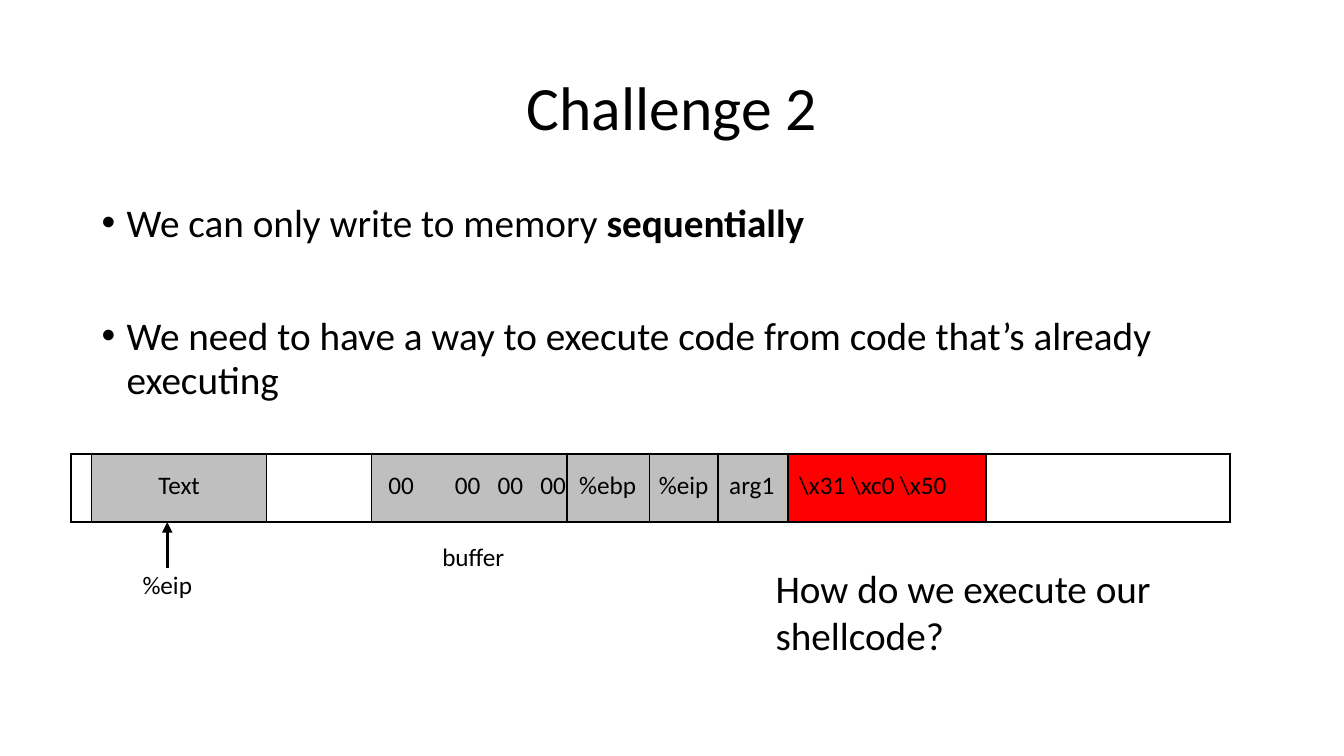
from dataclasses import dataclass
from typing import Any

from lxml.etree import SubElement
from pptx import Presentation
from pptx.dml.color import RGBColor
from pptx.enum.shapes import MSO_CONNECTOR
from pptx.enum.text import MSO_ANCHOR, MSO_AUTO_SIZE, PP_ALIGN
from pptx.oxml.ns import qn
from pptx.util import Pt

BLACK = RGBColor(0x00, 0x00, 0x00)
GREY = RGBColor(0xBF, 0xBF, 0xBF)
RED = RGBColor(0xFF, 0x00, 0x00)

FRAME_FORMAT = {
    "margin_left": 0, "margin_top": Pt(1), "margin_right": 0, "margin_bottom": 0,
    "word_wrap": True, "auto_size": MSO_AUTO_SIZE.NONE, "vertical_anchor": MSO_ANCHOR.TOP,
}
CELL_FORMAT = {"margin_top": Pt(12.4), "margin_right": 0, "margin_bottom": 0,
               "vertical_anchor": MSO_ANCHOR.TOP}


@dataclass(frozen=True)
class Box:
    left: float
    top: float
    width: float
    height: float

    def lengths(self) -> tuple:
        return Pt(self.left), Pt(self.top), Pt(self.width), Pt(self.height)


@dataclass(frozen=True)
class Segment:
    """One stretch of memory; right_edge is the width of the line closing it."""
    width: float
    right_edge: float
    text: str = ""
    color: RGBColor | None = None
    indent: float = 0
    tabs: tuple[float, ...] = ()
    alignment: PP_ALIGN = PP_ALIGN.LEFT


@dataclass(frozen=True)
class Label:
    text: str
    box: Box
    size: float
    alignment: PP_ALIGN


TITLE_BOX = Box(175, 48, 610, 55)
BODY_BOX = Box(72, 141, 756, 146)
MEMORY_BOX = Box(51, 324, 828, 49)
FIRST_EDGE = 1.5
MEMORY = [
    Segment(14.5, 1),
    Segment(125, 1, "Text", GREY, alignment=PP_ALIGN.CENTER),
    Segment(75, 1),
    Segment(139.75, 1.5, "00\t00\t00\t00", GREY, 12, (47.5, 78, 108.5)),
    Segment(59, 1, "%ebp", GREY, 8.5),
    Segment(48.75, 1, "%eip", GREY, 6.5),
    Segment(50, 2.25, "arg1", GREY, 8),
    Segment(141.5, 1, r"\x31 \xc0 \x50", RED, 8),
    Segment(174.5, 1.5),
]
BUFFER_LABEL = Label("buffer", Box(308, 386, 60, 24), 18, PP_ALIGN.CENTER)
POINTER_LABEL = Label("%eip", Box(89.5, 406, 60, 24), 18, PP_ALIGN.CENTER)
QUESTION = Label("How do we execute our shellcode?", Box(554, 402, 275, 70), 28,
                 PP_ALIGN.LEFT)
BULLETS = [
    [("We can only write to memory ", False), ("sequentially", True)],
    [("We need to have a way to execute code from code that’s already executing", False)],
]


def apply_format(target: Any, values: dict[str, Any]) -> None:
    for name, value in values.items():
        setattr(target, name, value)


def style_font(font: Any, size: float, bold: bool = False) -> None:
    apply_format(font, {"name": "Calibri", "size": Pt(size), "bold": bold})
    font.color.rgb = BLACK


def place(shape: Any, box: Box) -> None:
    apply_format(shape, dict(zip(("left", "top", "width", "height"), box.lengths())))


def add_tabs(paragraph: Any, positions: tuple[float, ...]) -> None:
    tab_list = SubElement(paragraph._p.get_or_add_pPr(), qn("a:tabLst"))
    for position in positions:
        SubElement(tab_list, qn("a:tab"), pos=str(Pt(position)), algn="l")


def add_bullet(paragraph: Any) -> None:
    properties = paragraph._p.get_or_add_pPr()
    properties.set("marL", str(Pt(18.5)))
    properties.set("indent", str(-Pt(18)))
    SubElement(properties, qn("a:buFont"), typeface="Arial")
    SubElement(properties, qn("a:buChar"), char="•")


def add_borders(cell: Any, left: float, right: float) -> None:
    properties = cell._tc.get_or_add_tcPr()
    for side, width in (("L", left), ("R", right), ("T", 1.5), ("B", 1.5)):
        line = SubElement(properties, qn(f"a:ln{side}"), w=str(Pt(width)))
        fill = SubElement(line, qn("a:solidFill"))
        SubElement(fill, qn("a:srgbClr"), val=str(BLACK))


def fill_title(title: Any) -> None:
    place(title, TITLE_BOX)
    apply_format(title.text_frame, FRAME_FORMAT)
    paragraph = title.text_frame.paragraphs[0]
    paragraph.text = "Challenge 2"
    paragraph.alignment = PP_ALIGN.CENTER
    style_font(paragraph.runs[0].font, 44)


def fill_body(body: Any) -> None:
    place(body, BODY_BOX)
    frame = body.text_frame
    apply_format(frame, FRAME_FORMAT)
    for index, runs in enumerate(BULLETS):
        paragraph = frame.add_paragraph() if index else frame.paragraphs[0]
        add_bullet(paragraph)
        paragraph.space_before = Pt(49.5 if index else 0)
        if index:
            paragraph.line_spacing = Pt(31)
        for text, bold in runs:
            run = paragraph.add_run()
            run.text = text
            style_font(run.font, 28, bold)


def add_memory(slide: Any) -> None:
    table = slide.shapes.add_table(1, len(MEMORY), *MEMORY_BOX.lengths()).table
    apply_format(table, {"first_row": False, "horz_banding": False})
    left_edge = FIRST_EDGE
    for index, segment in enumerate(MEMORY):
        table.columns[index].width = Pt(segment.width)
        cell = table.cell(0, index)
        add_borders(cell, left_edge, segment.right_edge)
        left_edge = segment.right_edge
        apply_format(cell, CELL_FORMAT | {"margin_left": Pt(segment.indent)})
        if segment.color is None:
            cell.fill.background()
            continue
        cell.fill.solid()
        cell.fill.fore_color.rgb = segment.color
        paragraph = cell.text_frame.paragraphs[0]
        if segment.tabs:
            add_tabs(paragraph, segment.tabs)
        paragraph.alignment = segment.alignment
        run = paragraph.add_run()
        run.text = segment.text
        style_font(run.font, 18)


def add_label(slide: Any, label: Label) -> Any:
    shape = slide.shapes.add_textbox(*label.box.lengths())
    apply_format(shape.text_frame, FRAME_FORMAT)
    paragraph = shape.text_frame.paragraphs[0]
    paragraph.text = label.text
    paragraph.alignment = label.alignment
    style_font(paragraph.runs[0].font, label.size)
    return shape


def add_pointer(slide: Any, label: Any) -> None:
    """Draw the arrow from the top of the label up to the memory strip."""
    center = label.left + label.width // 2
    strip_bottom = Pt(MEMORY_BOX.top + MEMORY_BOX.height)
    arrow = slide.shapes.add_connector(MSO_CONNECTOR.STRAIGHT, center, label.top,
                                       center, strip_bottom)
    arrow.begin_connect(label, 0)
    arrow.line.width = Pt(2.5)
    arrow.line.color.rgb = BLACK
    SubElement(arrow.line._get_or_add_ln(), qn("a:tailEnd"), type="triangle")
    SubElement(arrow._element.spPr, qn("a:effectLst"))


def main() -> None:
    presentation = Presentation()
    apply_format(presentation, {"slide_width": Pt(960), "slide_height": Pt(540)})
    slide = presentation.slides.add_slide(presentation.slide_layouts[1])
    fill_title(slide.shapes.title)
    fill_body(slide.placeholders[1])
    add_memory(slide)
    add_label(slide, BUFFER_LABEL)
    add_pointer(slide, add_label(slide, POINTER_LABEL))
    add_label(slide, QUESTION)
    presentation.save("out.pptx")


if __name__ == "__main__":
    main()
